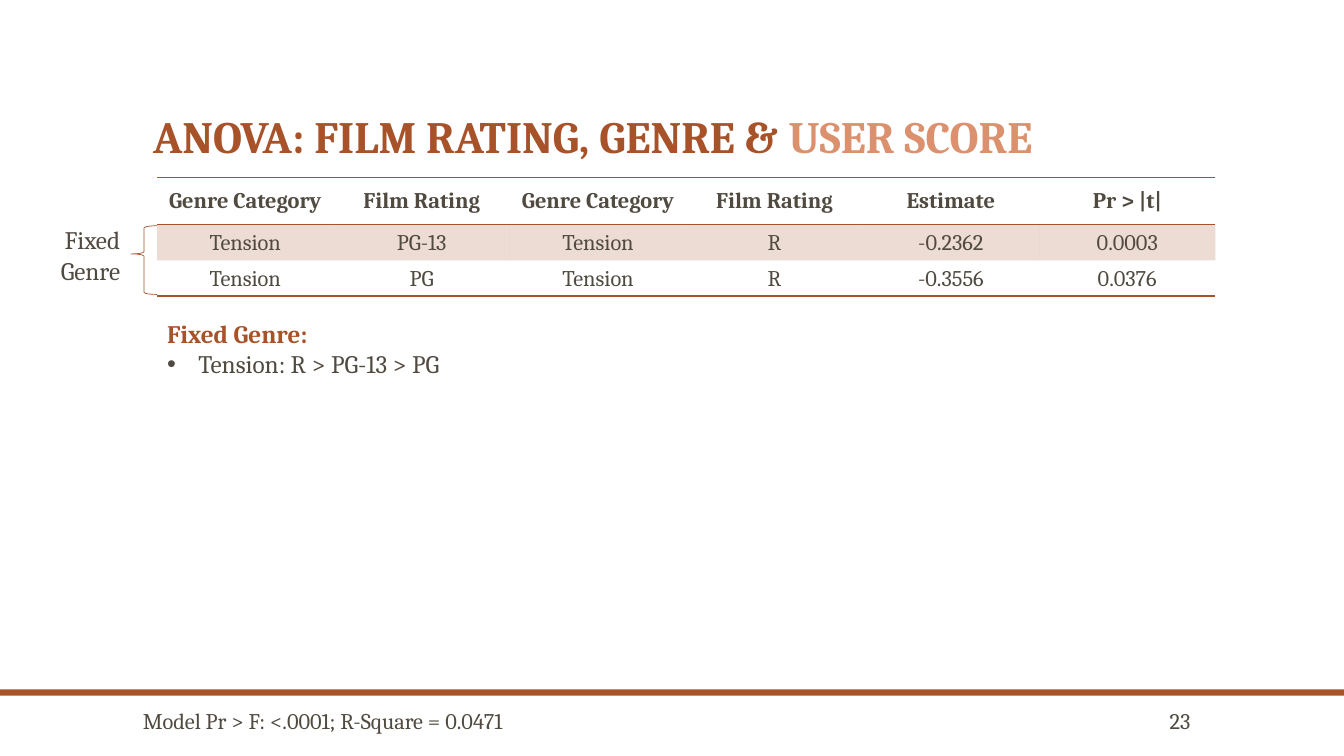
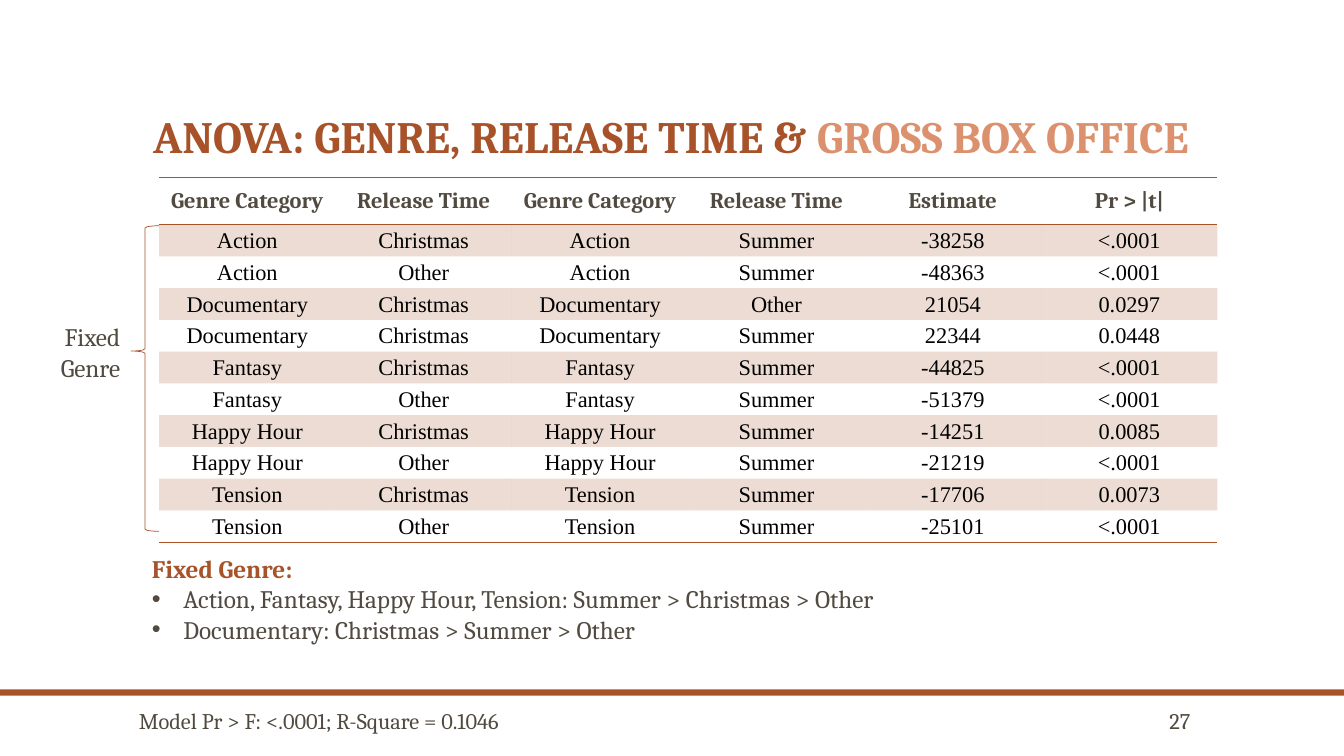
import pptx
import pptx.dml.color
import pptx.enum.shapes
import pptx.enum.text
import pptx.oxml
import pptx.oxml.ns
import pptx.util
from lxml import etree

Cm = pptx.util.Cm
Pt = pptx.util.Pt
RGBColor = pptx.dml.color.RGBColor
Align = pptx.enum.text.PP_ALIGN
Anchor = pptx.enum.text.MSO_ANCHOR
Shape = pptx.enum.shapes.MSO_SHAPE
qn = pptx.oxml.ns.qn

RUST = RGBColor(0xA8, 0x52, 0x29)
PEACH = RGBColor(0xDC, 0x91, 0x6E)
BROWN = RGBColor(0x51, 0x4A, 0x40)
BLACK = RGBColor(0, 0, 0)
SERIF = "Cambria"
TIMES = "Times New Roman"
NO_TABLE_STYLE = "{2D5ABB26-0587-4C30-8999-92F81FD0307C}"

SLIDE_WIDTH = 33.87
TABLE_TOP = 4.47
TABLE_WIDTH = 26.67
HEADER_HEIGHT = 1.19
BRACE_LEFT = 3.3
BULLET_INDENT = 0.79


class Deck:
    def __init__(self):
        self.presentation = pptx.Presentation()
        self.presentation.slide_width = Cm(SLIDE_WIDTH)
        self.presentation.slide_height = Cm(19.05)
        self.slide = None

    def add_slide(self, number, footer, footer_left):
        self.slide = self.presentation.slides.add_slide(self.presentation.slide_layouts[6])
        band = self.add_shape(Shape.RECTANGLE, 0, 17.37, SLIDE_WIDTH, 0.16)
        band.fill.solid()
        band.fill.fore_color.rgb = RUST
        band.line.fill.background()
        self.add_text(28.32, 17.83, 1.93, 0.66, str(number), 16,
                      align=Align.RIGHT, anchor=Anchor.MIDDLE)
        self.add_text(footer_left, 17.7, 10.31, 0.94, footer, 16)

    def add_shape(self, kind, left, top, width, height):
        shape = self.slide.shapes.add_shape(kind, Cm(left), Cm(top), Cm(width), Cm(height))
        shape.shadow.inherit = False
        return shape

    def add_run(self, paragraph, text, size, color=BROWN, bold=False, font=SERIF):
        run = paragraph.add_run()
        run.text = text
        run.font.name = font
        run.font.size = Pt(size)
        run.font.bold = bold
        run.font.color.rgb = color

    def add_box(self, left, top, width, height, anchor=Anchor.TOP):
        box = self.slide.shapes.add_textbox(Cm(left), Cm(top), Cm(width), Cm(height))
        box.text_frame.word_wrap = True
        box.text_frame.vertical_anchor = anchor
        return box.text_frame

    def add_text(self, left, top, width, height, text, size,
                 align=Align.LEFT, anchor=Anchor.TOP):
        paragraph = self.add_box(left, top, width, height, anchor).paragraphs[0]
        paragraph.alignment = align
        self.add_run(paragraph, text, size)

    def add_title(self, factors, response, width):
        paragraph = self.add_box(3.61, 1.07, width, 3.18, Anchor.BOTTOM).paragraphs[0]
        paragraph.line_spacing = 0.9
        self.add_run(paragraph, factors, 32, RUST, True)
        self.add_run(paragraph, response, 32, PEACH, True)

    def add_border(self, cell, side):
        properties = cell._tc.get_or_add_tcPr()
        line = etree.SubElement(properties, qn(f"a:{side}"), w=str(Pt(1)))
        fill = etree.SubElement(line, qn("a:solidFill"))
        etree.SubElement(fill, qn("a:srgbClr"), val=str(RUST))

    def fill_cell(self, cell, shaded):
        if not shaded:
            cell.fill.background()
            return
        cell.fill.solid()
        cell.fill.fore_color.rgb = RUST
        color = cell._tc.tcPr.find(f".//{qn('a:solidFill')}[last()]/{qn('a:srgbClr')}")
        etree.SubElement(color, qn("a:alpha"), val="20000")

    def add_table(self, left, row_height, rows, font, color):
        height = HEADER_HEIGHT + row_height * (len(rows) - 1)
        columns = len(rows[0])
        frame = self.slide.shapes.add_table(len(rows), columns, Cm(left), Cm(TABLE_TOP),
                                            Cm(TABLE_WIDTH), Cm(height))
        table = frame.table
        table.first_row = False
        table.horz_banding = False
        table._tbl.tblPr.find(qn("a:tableStyleId")).text = NO_TABLE_STYLE
        for column in table.columns:
            column.width = Cm(TABLE_WIDTH / columns)
        for row_index, values in enumerate(rows):
            header = row_index == 0
            table.rows[row_index].height = Cm(HEADER_HEIGHT if header else row_height)
            for column_index, value in enumerate(values):
                cell = table.cell(row_index, column_index)
                cell.margin_left = cell.margin_right = cell.margin_top = Cm(0.03)
                cell.margin_bottom = 0
                cell.vertical_anchor = Anchor.MIDDLE
                if header:
                    self.add_border(cell, "lnT")
                if header or row_index == len(rows) - 1:
                    self.add_border(cell, "lnB")
                self.fill_cell(cell, row_index % 2 == 1)
                paragraph = cell.text_frame.paragraphs[0]
                paragraph.alignment = Align.CENTER
                if header:
                    self.add_run(paragraph, value, 16, bold=True)
                else:
                    self.add_run(paragraph, value, 16, color, font=font)

    def add_brace(self, table_left, height, label_left, label_top):
        brace = self.add_shape(Shape.LEFT_BRACE, BRACE_LEFT, 5.69,
                               table_left - BRACE_LEFT, height)
        brace.adjustments[0] = 0.08
        brace.adjustments[1] = 0.41
        brace.fill.background()
        brace.line.color.rgb = RUST
        brace.line.width = Pt(0.5)
        self.add_text(label_left, label_top, 3.28 - label_left, 1.8, "Fixed Genre", 18,
                      align=Align.RIGHT)

    def add_findings(self, left, top, width, height, heading, findings):
        frame = self.add_box(left, top, width, height)
        self.add_run(frame.paragraphs[0], heading, 18, RUST, True)
        for finding in findings:
            paragraph = frame.add_paragraph()
            properties = paragraph._p.get_or_add_pPr()
            properties.set("marL", str(Cm(BULLET_INDENT)))
            properties.set("indent", str(-Cm(BULLET_INDENT)))
            etree.SubElement(properties, qn("a:buFont"), typeface="Arial")
            etree.SubElement(properties, qn("a:buChar"), char="•")
            self.add_run(paragraph, finding, 18)


def header_row(factor):
    return ["Genre Category", factor] * 2 + ["Estimate", "Pr > |t|"]


def genre_row(genre, first, second, estimate, probability):
    return [genre, first, genre, second, estimate, probability]


def build_rating_slide(deck):
    table_left = 3.96
    rows = [
        header_row("Film Rating"),
        genre_row("Tension", "PG-13", "R", "-0.2362", "0.0003"),
        genre_row("Tension", "PG", "R", "-0.3556", "0.0376"),
    ]
    deck.add_slide(23, "Model Pr > F: <.0001; R-Square = 0.0471", 3.35)
    deck.add_title("ANOVA: FILM RATING, GENRE & ", "USER SCORE", 26.67)
    deck.add_table(table_left, 0.9, rows, SERIF, BROWN)
    deck.add_brace(table_left, 1.73, 0.38, 5.54)
    deck.add_findings(table_left, 7.9, 24.38, 1.8, "Fixed Genre:",
                      ["Tension: R > PG-13 > PG"])


def build_release_slide(deck):
    table_left = 4.01
    rows = [
        header_row("Release Time"),
        genre_row("Action", "Christmas", "Summer", "-38258", "<.0001"),
        genre_row("Action", "Other", "Summer", "-48363", "<.0001"),
        genre_row("Documentary", "Christmas", "Other", "21054", "0.0297"),
        genre_row("Documentary", "Christmas", "Summer", "22344", "0.0448"),
        genre_row("Fantasy", "Christmas", "Summer", "-44825", "<.0001"),
        genre_row("Fantasy", "Other", "Summer", "-51379", "<.0001"),
        genre_row("Happy Hour", "Christmas", "Summer", "-14251", "0.0085"),
        genre_row("Happy Hour", "Other", "Summer", "-21219", "<.0001"),
        genre_row("Tension", "Christmas", "Summer", "-17706", "0.0073"),
        genre_row("Tension", "Other", "Summer", "-25101", "<.0001"),
    ]
    deck.add_slide(27, "Model Pr > F: <.0001; R-Square = 0.1046", 3.25)
    deck.add_title("ANOVA: GENRE, RELEASE TIME & ", "GROSS BOX OFFICE", 28.32)
    deck.add_table(table_left, 0.8, rows, TIMES, BLACK)
    deck.add_brace(table_left, 7.7, 0.76, 7.98)
    deck.add_findings(3.58, 13.82, 22.33, 2.57, "Fixed Genre:", [
        "Action, Fantasy, Happy Hour, Tension: Summer > Christmas > Other",
        "Documentary: Christmas > Summer > Other",
    ])


def main():
    deck = Deck()
    build_rating_slide(deck)
    build_release_slide(deck)
    deck.presentation.save("out.pptx")


if __name__ == "__main__":
    main()
